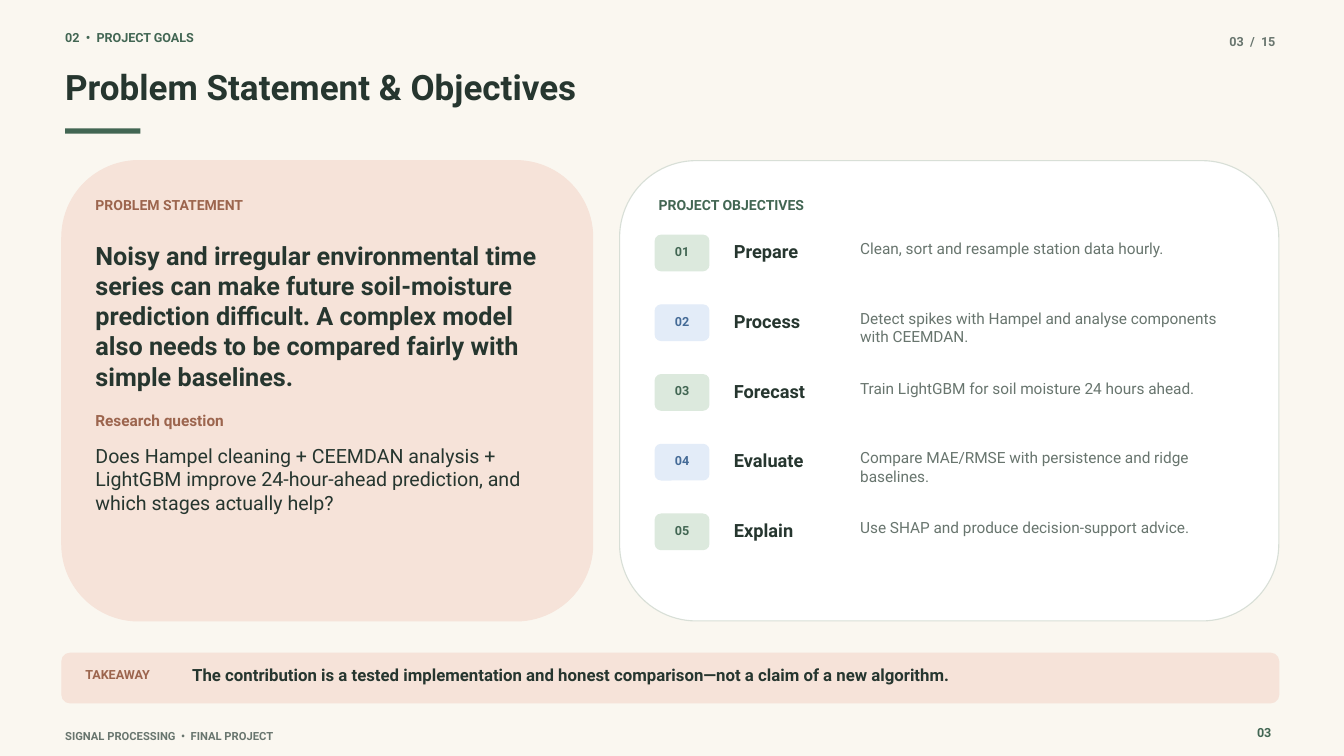
from dataclasses import dataclass

from pptx import Presentation
from pptx import util as u
from pptx.dml.color import RGBColor
from pptx.enum import shapes, text


@dataclass(frozen=True)
class Theme:
    """Colours and type sizes of the deck."""
    font: str = "Roboto"
    page: str = "FAF7F0"
    white: str = "FFFFFF"
    edge: str = "D8DFD7"
    ink: str = "26362F"
    grey: str = "68756E"
    green: str = "426653"
    mint: str = "DCE9DD"
    blue: str = "456B97"
    sky: str = "E3ECF8"
    rust: str = "9C654E"
    peach: str = "F6E3D9"
    title: float = 37.5
    claim: float = 27
    query: float = 21
    name: float = 19.5
    note: float = 18
    body: float = 16.5
    head: float = 15
    label: float = 13.5
    foot: float = 12


T = Theme()
LEFT, RIGHT, MID = text.PP_ALIGN.LEFT, text.PP_ALIGN.RIGHT, text.PP_ALIGN.CENTER
BAR, ROUND = shapes.MSO_SHAPE.RECTANGLE, shapes.MSO_SHAPE.ROUNDED_RECTANGLE

GOALS = [
    ("Prepare", "Clean, sort and resample station data hourly."),
    ("Process", "Detect spikes with Hampel and analyse components with CEEMDAN."),
    ("Forecast", "Train LightGBM for soil moisture 24 hours ahead."),
    ("Evaluate", "Compare MAE/RMSE with persistence and ridge baselines."),
    ("Explain", "Use SHAP and produce decision-support advice."),
]


def inner(box, x, y, w, h):
    """Return a box offset from the corner of another box."""
    return box[0] + x, box[1] + y, w, h


def panel(slide, box, fill, line=None, kind=ROUND):
    """Draw a filled panel with a thin outline."""
    shape = slide.shapes.add_shape(kind, *map(u.Inches, box))
    shape.shadow.inherit = False
    shape.fill.solid()
    shape.fill.fore_color.rgb = RGBColor.from_string(fill)
    if kind == BAR:
        shape.line.fill.background()
    else:
        shape.line.color.rgb = RGBColor.from_string(line or fill)
        shape.line.width = u.Pt(1.2)


def write(slide, box, words, size, color, bold=True, align=LEFT):
    """Write one paragraph in a box without margins."""
    frame = slide.shapes.add_textbox(*map(u.Inches, box)).text_frame
    frame.word_wrap = True
    frame.margin_left = frame.margin_right = 0
    frame.margin_top = frame.margin_bottom = 0
    frame.text = words
    para = frame.paragraphs[0]
    para.alignment = align
    para.line_spacing = u.Pt(size * 1.2)
    font = para.runs[0].font
    font.name, font.size, font.bold = T.font, u.Pt(size), bold
    font.color.rgb = RGBColor.from_string(color)


def header(slide, box):
    """Place the section label, title, rule and page count."""
    write(slide, inner(box, 0, 0, 8.18, 0.31), "02  •  PROJECT GOALS", T.label, T.green)
    write(slide, inner(box, 0, 0.52, 17.93, 0.79), "Problem Statement & Objectives",
          T.title, T.ink)
    panel(slide, inner(box, 0, 1.46, 1.12, 0.08), T.green, kind=BAR)
    write(slide, inner(box, box[2] - 1.5, 0.06, 1.5, 0.26), "03  /  15",
          T.label, T.grey, align=RIGHT)


def problem(slide, box):
    """Place the problem statement and research question."""
    panel(slide, box, T.peach)
    write(slide, inner(box, 0.5, 0.53, 4.72, 0.31), "PROBLEM STATEMENT", T.head, T.rust)
    write(slide, inner(box, 0.5, 1.18, 6.6, 1.95),
          "Noisy and irregular environmental time series can make future "
          "soil-moisture prediction difficult. A complex model also needs to be "
          "compared fairly with simple baselines.", T.claim, T.ink)
    write(slide, inner(box, 0.5, 3.73, 3.67, 0.28), "Research question", T.body, T.rust)
    write(slide, inner(box, 0.5, 4.21, 6.45, 1.51),
          "Does Hampel cleaning + CEEMDAN analysis + LightGBM improve "
          "24-hour-ahead prediction, and which stages actually help?",
          T.query, T.ink, bold=False)


def goal(slide, box, num, name, detail):
    """Place one numbered objective in its row."""
    fill, color = (T.mint, T.green) if num % 2 else (T.sky, T.blue)
    panel(slide, inner(box, 0, 0, 0.8, 0.53), fill)
    write(slide, inner(box, 0.17, 0.13, 0.46, 0.2), f"{num:02}", T.label, color, align=MID)
    write(slide, inner(box, 1.17, 0.08, 1.8, 0.25), name, T.name, T.ink)
    write(slide, inner(box, 3.05, 0.06, 5.55, 0.51), detail, T.body, T.grey, bold=False)


def goals(slide, box):
    """Place the panel of objectives in evenly spaced rows."""
    pitch = 1.0375
    panel(slide, box, T.white, T.edge)
    write(slide, inner(box, 0.58, 0.53, 4.72, 0.31), "PROJECT OBJECTIVES", T.head, T.green)
    for i, (name, detail) in enumerate(GOALS):
        row = inner(box, 0.53, 1.11 + i * pitch, 8.6, pitch)
        goal(slide, row, i + 1, name, detail)


def takeaway(slide, box):
    """Place the takeaway bar."""
    panel(slide, box, T.peach)
    write(slide, inner(box, 0.35, 0.2, 1.5, 0.2), "TAKEAWAY", T.label, T.rust)
    write(slide, inner(box, 1.94, 0.17, 15.76, 0.34),
          "The contribution is a tested implementation and honest comparison—not "
          "a claim of a new algorithm.", T.note, T.ink)


def footer(slide, box):
    """Place the deck name and page number."""
    write(slide, inner(box, 0, 0.06, 12.68, 0.16), "SIGNAL PROCESSING  •  FINAL PROJECT",
          T.foot, T.grey)
    write(slide, inner(box, box[2] - 0.64, 0, 0.64, 0.23), "03",
          T.label, T.green, align=RIGHT)


def main():
    """Build the slide and save it."""
    deck = Presentation()
    deck.slide_width, deck.slide_height = u.Inches(20), u.Inches(11.25)
    slide = deck.slides.add_slide(deck.slide_layouts[6])
    slide.background.fill.solid()
    slide.background.fill.fore_color.rgb = RGBColor.from_string(T.page)
    header(slide, (0.97, 0.45, 18.01, 1.54))
    problem(slide, (0.92, 2.39, 7.9, 6.85))
    goals(slide, (9.22, 2.39, 9.81, 6.85))
    takeaway(slide, (0.92, 9.72, 18.11, 0.74))
    footer(slide, (0.97, 10.79, 17.95, 0.23))
    deck.save("out.pptx")


if __name__ == "__main__":
    main()
